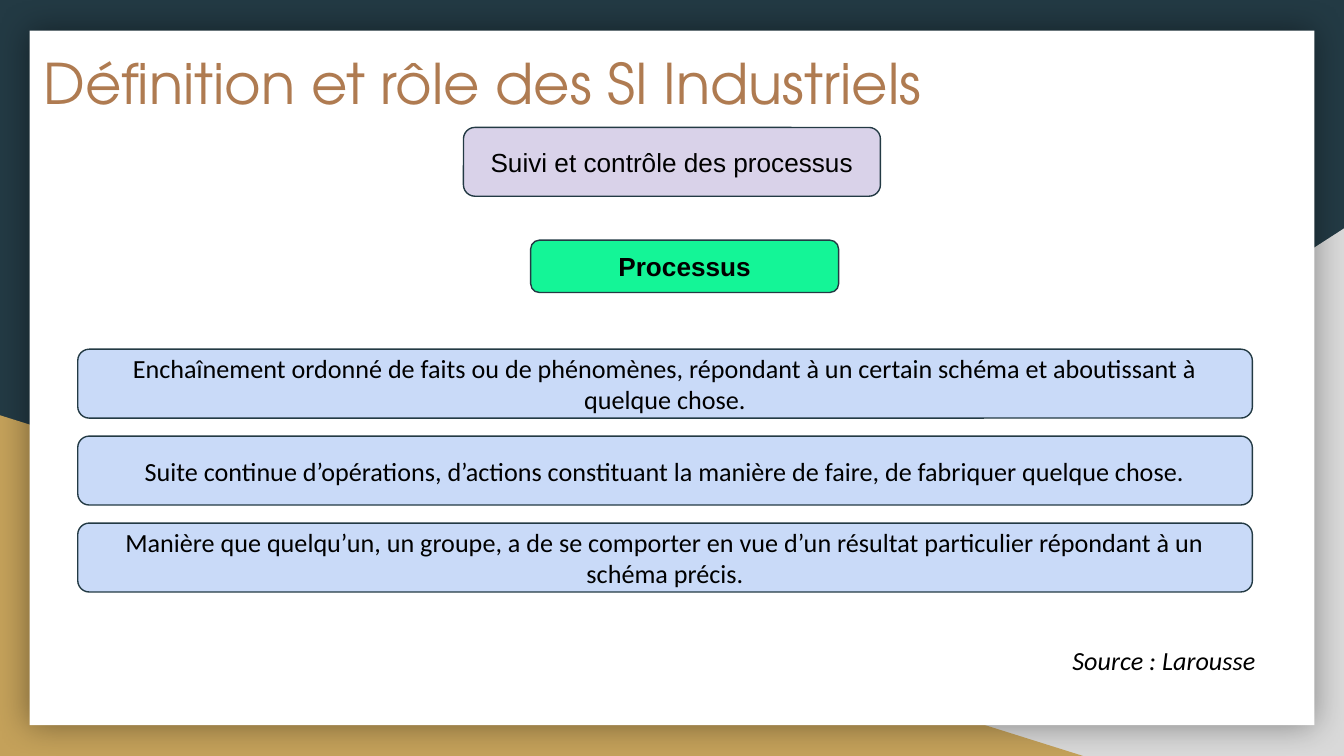
from dataclasses import dataclass

from lxml.etree import SubElement
from pptx import Presentation
from pptx.dml.color import RGBColor
from pptx.enum.shapes import MSO_SHAPE
from pptx.enum.text import MSO_ANCHOR, MSO_AUTO_SIZE, PP_ALIGN
from pptx.oxml.ns import qn
from pptx.util import Cm, Pt


@dataclass(frozen=True)
class Theme:
    night: str = "233A44"
    grey: str = "D9D9D9"
    gold: str = "C4A15A"
    paper: str = "FFFFFF"
    title: str = "AF7B51"
    ink: str = "000000"
    lilac: str = "D9D2E9"
    green: str = "14F597"
    sky: str = "C9DAF8"
    title_font: str = "TeX Gyre Adventor"
    label_font: str = "Arial"
    text_font: str = "Calibri"
    title_size: int = 30
    text_size: int = 14


THEME = Theme()
TITLE = "Définition et rôle des SI Industriels"
DEFINITIONS = [
    "Enchaînement ordonné de faits ou de phénomènes, répondant à un certain "
    "schéma et aboutissant à quelque chose.",
    "Suite continue d’opérations, d’actions constituant la manière de faire, "
    "de fabriquer quelque chose.",
    "Manière que quelqu’un, un groupe, a de se comporter en vue d’un résultat "
    "particulier répondant à un schéma précis.",
]


def write(shape, text, font, size=THEME.text_size, color=THEME.ink,
          align=PP_ALIGN.CENTER, anchor=MSO_ANCHOR.MIDDLE, bold=False, italic=False):
    frame = shape.text_frame
    frame.word_wrap = True
    frame.auto_size = MSO_AUTO_SIZE.NONE
    frame.vertical_anchor = anchor
    frame.margin_left = frame.margin_right = Cm(0.25)
    frame.margin_top = frame.margin_bottom = Cm(0.25)
    para = frame.paragraphs[0]
    para.text = text
    para.alignment = align
    para.font.name = font
    para.font.size = Pt(size)
    para.font.bold = bold
    para.font.italic = italic
    para.font.color.rgb = RGBColor.from_string(color)


def add_filled(page, kind, box, fill):
    """Add a flat shape at box (left, top, width, height in cm)."""
    shape = page.shapes.add_shape(kind, *map(Cm, box))
    shape.shadow.inherit = False
    shape.fill.solid()
    shape.fill.fore_color.rgb = RGBColor.from_string(fill)
    shape.line.fill.background()
    return shape


def add_glow_shadow(shape):
    """Give the shape a soft black shadow on all sides."""
    effects = shape.element.spPr.find(qn("a:effectLst"))
    shadow = SubElement(effects, qn("a:outerShdw"), blurRad=str(Pt(18)),
                        dist="0", dir="0", algn="ctr", rotWithShape="0")
    color = SubElement(shadow, qn("a:srgbClr"), val="000000")
    SubElement(color, qn("a:alpha"), val="40000")


def add_backdrop(page, width, height):
    page.background.fill.solid()
    page.background.fill.fore_color.rgb = RGBColor.from_string(THEME.night)
    right = add_filled(page, MSO_SHAPE.RIGHT_TRIANGLE,
                       (width - 15.44, height - 9.97, 15.44, 9.97), THEME.grey)
    right.element.spPr.xfrm.set("flipH", "1")
    add_filled(page, MSO_SHAPE.RIGHT_TRIANGLE,
               (0, height - 6.44, 20.47, 6.44), THEME.gold)
    sheet = add_filled(page, MSO_SHAPE.RECTANGLE,
                       (0.56, 0.58, width - 1.12, height - 1.16), THEME.paper)
    add_glow_shadow(sheet)


def add_title(page, box):
    title = page.shapes.title
    title.left, title.top, title.width, title.height = map(Cm, box)
    write(title, TITLE, THEME.title_font, THEME.title_size, THEME.title,
          PP_ALIGN.LEFT, MSO_ANCHOR.TOP)
    # The title must lie in front of the backdrop
    title.element.getparent().append(title.element)


def add_card(page, box, text, fill, font, bold=False):
    card = add_filled(page, MSO_SHAPE.ROUNDED_RECTANGLE, box, fill)
    card.line.color.rgb = RGBColor.from_string(THEME.night)
    card.line.width = Pt(0.75)
    write(card, text, font, bold=bold)


def add_definitions(page, box, gap=0.34):
    """Stack one card per definition, evenly filling the box."""
    left, top, width, height = box
    count = len(DEFINITIONS)
    card_height = (height - gap * (count - 1)) / count
    for index, text in enumerate(DEFINITIONS):
        card_top = top + index * (card_height + gap)
        add_card(page, (left, card_top, width, card_height), text,
                 THEME.sky, THEME.text_font)


def add_source(page, box):
    source = page.shapes.add_textbox(*map(Cm, box))
    write(source, "Source : Larousse", THEME.text_font, align=PP_ALIGN.RIGHT,
          anchor=MSO_ANCHOR.TOP, italic=True)


def main():
    width, height = 25.4, 14.29
    deck = Presentation()
    deck.slide_width, deck.slide_height = Cm(width), Cm(height)
    page = deck.slides.add_slide(deck.slide_layouts.get_by_name("Title Only"))
    add_backdrop(page, width, height)
    add_title(page, (0.58, 0.66, 20.85, 2.64))
    add_card(page, (8.76, 2.41, 7.88, 1.3), "Suivi et contrôle des processus",
             THEME.lilac, THEME.label_font)
    add_source(page, (1.42, 11.94, 22.56, 1.12))
    add_card(page, (10.03, 4.54, 5.82, 0.99), "Processus",
             THEME.green, THEME.label_font, bold=True)
    add_definitions(page, (1.47, 6.6, 22.2, 4.59))
    deck.save("out.pptx")


if __name__ == "__main__":
    main()
